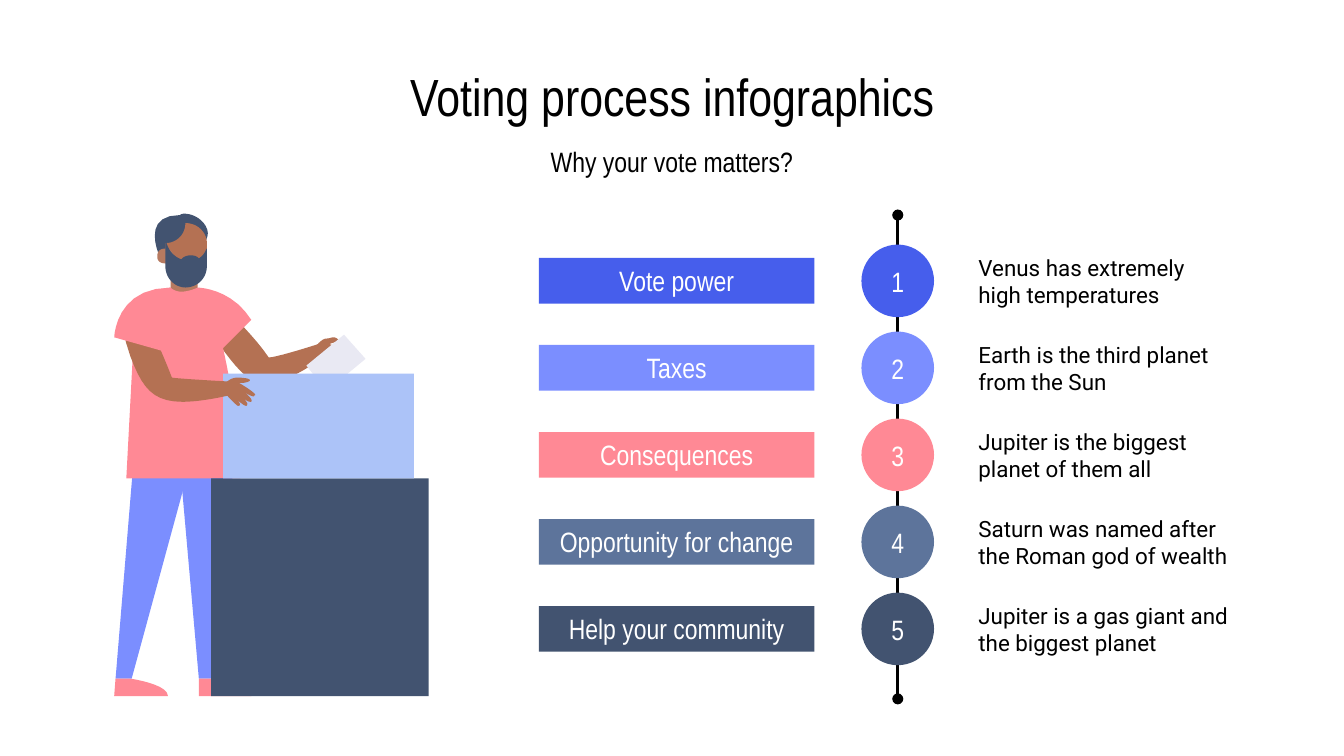
from lxml import etree
from pptx import Presentation
from pptx import util as u
from pptx.dml.color import RGBColor
from pptx.enum import shapes, text
from pptx.oxml.ns import qn

HEAD = "Arial Narrow"
BODY = "Roboto"
BLUE, LILAC, PINK, STEEL, NAVY = "465EEC", "7B8EFF", "FF8995", "5D749B", "425370"
SKIN, SHADE, PAPER, SKY = "B47153", "B67A60", "E9E9F3", "ACC3F8"

ROWS = [
    ("Vote power", "Venus has extremely high temperatures", BLUE),
    ("Taxes", "Earth is the third planet from the Sun", LILAC),
    ("Consequences", "Jupiter is the biggest planet of them all", PINK),
    ("Opportunity for change", "Saturn was named after the Roman god of wealth", STEEL),
    ("Help your community", "Jupiter is a gas giant and the biggest planet", NAVY),
]
PITCH = (4.41 - 1.82) / 4

FAR_ARM = [
    (SKIN, "1.57,2.23|1.56,2.23 1.56,2.23 1.55,2.23|1.51,2.26 1.47,2.34 1.65,2.59"
           "|1.77,2.75 1.85,2.85 1.98,2.85|2.09,2.85 2.22,2.79 2.42,2.65|2.37,2.56"
           "|2.37,2.56 2.06,2.66 2,2.66|1.87,2.47 1.67,2.29 1.6,2.24"
           "|1.59,2.23 1.58,2.23 1.57,2.23"),
    (SKIN, "2.48,2.51|2.47,2.51 2.45,2.52 2.42,2.52|2.36,2.54 2.32,2.63 2.32,2.63"
           "|2.32,2.63 2.46,2.73 2.48,2.73|2.5,2.73 2.5,2.72 2.44,2.67"
           "|2.49,2.7 2.51,2.71 2.53,2.71|2.53,2.71 2.54,2.71 2.54,2.7"
           "|2.55,2.69 2.48,2.65 2.47,2.64|2.48,2.65 2.53,2.68 2.56,2.68"
           "|2.56,2.68 2.57,2.68 2.57,2.67|2.58,2.65 2.48,2.61 2.48,2.61"
           "|2.48,2.61 2.54,2.63 2.56,2.63|2.57,2.63 2.58,2.63 2.58,2.62"
           "|2.58,2.6 2.45,2.56 2.45,2.56|2.45,2.56 2.52,2.54 2.52,2.53"
           "|2.51,2.52 2.5,2.51 2.48,2.51"),
    (PAPER, "2.56,2.49|2.28,2.72|2.43,2.91|2.72,2.67"),
]
FIGURE = [
    (NAVY, "1.37,1.59|1.35,1.59 1.34,1.6 1.34,1.6|1.04,1.6 1.19,1.91 1.19,1.91"
           "|1.47,1.85|1.47,1.85 1.59,1.78 1.53,1.68|1.48,1.6 1.4,1.59 1.37,1.59"),
    (LILAC, "1.01,3.23|0.86,5.05|0.98,5.05|1.38,3.58|1.38,3.23"),
    (LILAC, "1.35,3.01|1.35,3.58|1.48,5.05|1.6,5.05|1.72,3.83"
            "|1.76,3.45 1.68,3.01 1.68,3.01"),
    (SHADE, "1.27,1.92|1.27,2.19|1.27,2.25 1.31,2.29 1.37,2.29"
            "|1.42,2.29 1.47,2.25 1.47,2.19|1.47,1.92"),
    (SKIN, "1.38,1.66|1.38,1.75 1.31,1.81 1.23,1.81|1.23,1.93"
           "|1.23,2.02 1.3,2.09 1.38,2.09|1.47,2.09 1.53,2.02 1.54,1.93"
           "|1.54,1.81|1.54,1.73 1.47,1.66 1.38,1.66"),
    (SHADE, "1.23,1.85|1.19,1.85 1.17,1.87 1.17,1.91|1.17,1.94 1.19,1.96 1.23,1.96"
            "|1.26,1.96 1.29,1.94 1.29,1.91|1.29,1.87 1.26,1.85 1.23,1.85"),
    (PINK, "0.86,5.05|0.85,5.18|1.25,5.18|1.25,5.09 0.97,5.05 0.97,5.05"),
    (PINK, "1.48,5.05|1.48,5.18|1.87,5.18|1.87,5.09 1.6,5.05 1.6,5.05"),
    (PINK, "1.27,2.14|1.16,2.14 1.01,2.24 1.01,2.24|0.94,3.56|1.79,3.56"
           "|1.79,3.15 1.66,2.59 1.66,2.59|1.87,2.38|1.72,2.14 1.47,2.14 1.47,2.14"
           "|1.47,2.14 1.41,2.17 1.35,2.17|1.32,2.17 1.29,2.16 1.27,2.14"),
]
NEAR_ARM = [
    (SKIN, "1.76,2.81|1.7,2.81 1.64,2.89 1.64,2.89|1.64,2.89 1.76,3.02 1.77,3.02"
           "|1.79,3.02 1.8,3.01 1.75,2.96|1.79,3 1.82,3.02 1.83,3.02"
           "|1.83,3.02 1.84,3.02 1.84,3.01|1.85,3 1.8,2.95 1.78,2.94"
           "|1.79,2.95 1.84,2.99 1.86,2.99|1.87,2.99 1.87,2.99 1.87,2.99"
           "|1.89,2.97 1.81,2.91 1.8,2.91|1.81,2.91 1.86,2.95 1.89,2.95"
           "|1.89,2.95 1.89,2.94 1.9,2.94|1.9,2.92 1.78,2.85 1.78,2.85"
           "|1.78,2.85 1.79,2.85 1.8,2.85|1.82,2.85 1.86,2.84 1.86,2.83"
           "|1.86,2.82 1.83,2.81 1.76,2.81"),
    (SKIN, "1.02,2.22|1.02,2.22 0.83,2.27 0.97,2.65|1.06,2.89 1.14,2.99 1.36,2.99"
           "|1.46,2.99 1.59,2.97 1.76,2.93|1.72,2.84|1.72,2.84 1.34,2.82 1.28,2.81"
           "|1.18,2.55 1.02,2.22 1.02,2.22"),
    (PINK, "1.27,2.14|0.86,2.14 0.85,2.51 0.85,2.51|1.24,2.62"),
    (NAVY, "1.24,1.81|1.23,1.81|1.23,1.98|1.23,2.07 1.3,2.14 1.38,2.14"
           "|1.47,2.14 1.54,2.07 1.54,1.98|1.54,1.85|1.53,1.85 1.52,1.94 1.41,1.94"
           "|1.27,1.94 1.24,1.81 1.24,1.81"),
    (NAVY, "1.42,1.9|1.35,1.9 1.34,1.95 1.34,1.95|1.49,1.95|1.49,1.95 1.49,1.9 1.42,1.9"),
]


def color(code):
    return RGBColor.from_string(code)


def paint(shape, code):
    shape.shadow.inherit = False
    shape.fill.solid()
    shape.fill.fore_color.rgb = color(code)
    shape.line.fill.background()


def write(shape, words, size, code, font=HEAD, center=True, middle=True,
          inset=(0.1, 0.1, 0.1, 0.1)):
    frame = shape.text_frame
    frame.word_wrap = True
    frame.vertical_anchor = text.MSO_ANCHOR.MIDDLE if middle else text.MSO_ANCHOR.TOP
    (frame.margin_left, frame.margin_top,
     frame.margin_right, frame.margin_bottom) = map(u.Inches, inset)
    frame.text = words
    para = frame.paragraphs[0]
    para.alignment = text.PP_ALIGN.CENTER if center else text.PP_ALIGN.LEFT
    style = para.runs[0].font
    style.name, style.size = font, u.Pt(size)
    style.color.rgb = color(code)


def label(slide, box, words, size, **style):
    shape = slide.shapes.add_textbox(*map(u.Inches, box))
    write(shape, words, size, "000000", **style)


def block(slide, kind, box, code):
    shape = slide.shapes.add_shape(kind, *map(u.Inches, box))
    paint(shape, code)
    return shape


def axis(slide, x, top, base):
    line = slide.shapes.add_connector(
        shapes.MSO_CONNECTOR.STRAIGHT, *map(u.Inches, (x, top, x, base)))
    line.line.color.rgb = color("000000")
    line.line.width = u.Pt(1.5)
    pen = line.line._get_or_add_ln()
    for end in ("a:headEnd", "a:tailEnd"):
        etree.SubElement(pen, qn(end), type="oval")
    etree.SubElement(line._element.spPr, qn("a:effectLst"))


def bend(a, b, c, d, steps=10):
    for i in range(1, steps + 1):
        t = i / steps
        s = 1 - t
        yield tuple(s**3 * p + 3 * s * s * t * q + 3 * s * t * t * r + t**3 * e
                    for p, q, r, e in zip(a, b, c, d))


def trace(route):
    dots = []
    for part in route.split("|"):
        marks = [tuple(map(float, mark.split(","))) for mark in part.split()]
        dots += bend(dots[-1], *marks) if len(marks) == 3 else marks
    return [(u.Inches(x), u.Inches(y)) for x, y in dots]


def draw(slide, parts):
    for code, route in parts:
        dots = trace(route)
        pen = slide.shapes.build_freeform(*dots[0])
        pen.add_line_segments(dots[1:], close=True)
        paint(pen.convert_to_shape(), code)


def row(slide, i, name, note, code):
    drop = i * PITCH
    disc = block(slide, shapes.MSO_SHAPE.OVAL, (6.41, 1.82 + drop, 0.54, 0.54), code)
    write(disc, str(i + 1), 15, "FFFFFF")
    bar = block(slide, shapes.MSO_SHAPE.RECTANGLE, (4.01, 1.92 + drop, 2.05, 0.34), code)
    write(bar, name, 15, "FFFFFF", middle=False, inset=(0.1, 0.04, 0.1, 0.1))
    label(slide, (7.13, 1.84 + drop, 2.19, 0.5), note, 12, font=BODY,
          center=False, middle=False, inset=(0.15, 0.05, 0.15, 0.1))


def main():
    deck = Presentation()
    deck.slide_width, deck.slide_height = u.Inches(10), u.Inches(10 * 9 / 16)
    slide = deck.slides.add_slide(deck.slide_layouts[6])
    label(slide, (0.5, 0.45, 9, 0.53), "Voting process infographics", 28)
    label(slide, (0.5, 1, 9, 0.4), "Why your vote matters?", 15)
    axis(slide, 6.68, 1.6, 5.2)
    for i, item in enumerate(ROWS):
        row(slide, i, *item)
    draw(slide, FAR_ARM + FIGURE)
    block(slide, shapes.MSO_SHAPE.RECTANGLE, (1.57, 3.56, 1.62, 1.62), NAVY)
    block(slide, shapes.MSO_SHAPE.RECTANGLE, (1.66, 2.78, 1.42, 0.78), SKY)
    draw(slide, NEAR_ARM)
    deck.save("out.pptx")


if __name__ == "__main__":
    main()
